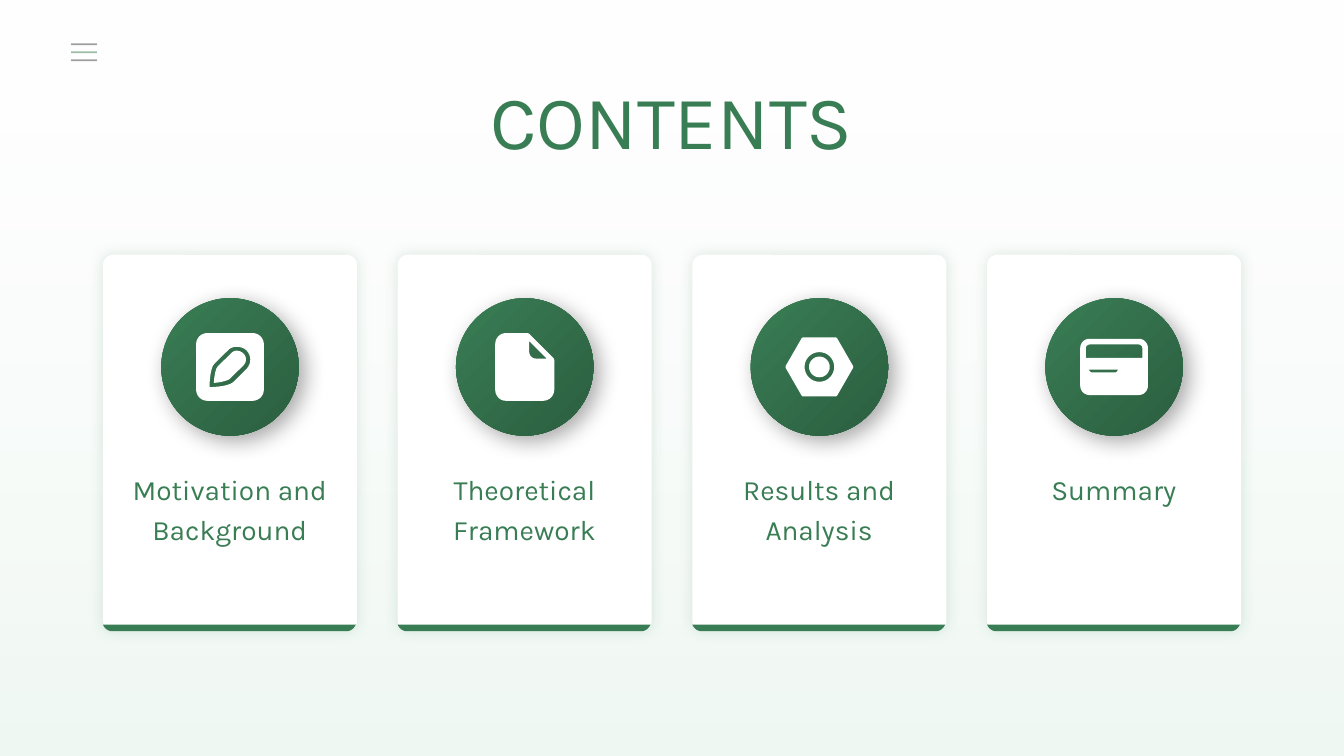
from lxml.etree import SubElement
from pptx import Presentation
from pptx.dml.color import RGBColor
from pptx.enum.shapes import MSO_CONNECTOR, MSO_SHAPE
from pptx.enum.text import PP_ALIGN
from pptx.oxml.ns import qn
from pptx.util import Pt

GREEN = RGBColor(0x39, 0x7D, 0x54)
DARK_GREEN = RGBColor(0x2B, 0x5E, 0x3F)
MINT = RGBColor(0xD2, 0xEA, 0xDC)
WHITE = RGBColor(0xFF, 0xFF, 0xFF)
GRAY = RGBColor(0x40, 0x40, 0x40)
BLACK = RGBColor(0, 0, 0)
FONT = "Karla"


def rounded(x, y, w, h, r):
    k = r * 0.45
    right, bottom = x + w, y + h
    return [(x + r, y), (right - r, y),
            (right - k, y, right, y + k, right, y + r), (right, bottom - r),
            (right, bottom - k, right - k, bottom, right - r, bottom), (x + r, bottom),
            (x + k, bottom, x, bottom - k, x, bottom - r), (x, y + r),
            (x, y + k, x + k, y, x + r, y)]


def ring(r):
    return rounded(-r, -r, 2 * r, 2 * r, r)


PEN_ICON = [
    rounded(-24.2, -24.2, 48.4, 48.4, 8),
    [(4.7, -14.4), (2.4, -14.4, 0, -13.5, -1.6, -11.7), (-11.2, -2.3),
     (-14.6, 1.2, -14.6, 14.4, -14.6, 14.4), (-14.6, 14.4, -1.7, 14.4, 2.4, 10.8),
     (11.9, 1.3), (15.4, -2.3, 15.4, -8.1, 11.9, -11.7), (9.9, -13.6, 7.4, -14.4, 4.7, -14.4)],
    [(4.7, -11.6), (6.6, -11.6, 8.4, -10.9, 9.7, -9.5), (12, -7.2, 12, -3.5, 9.7, -1.2),
     (0, 8.4), (-1.2, 9.6, -6.6, 11.1, -11.5, 11.4), (-11.3, 6.5, -10.2, 1, -8.8, -0.3),
     (0.3, -9.3), (1.7, -10.8, 3, -11.6, 4.7, -11.6)],
]
PAGE_ICON = [
    [(-13.4, -24.2), (1.5, -24.2), (2.6, -24.2, 3, -23.8, 3.4, -23.4), (20.4, -6.4),
     (20.9, -5.9, 21.1, -5.3, 21.1, -4.8), (21.1, 16.2),
     (21.1, 20.6, 17.6, 24.2, 13.1, 24.2), (-13.4, 24.2),
     (-17.8, 24.2, -21.1, 20.6, -21.1, 16.2), (-21.1, -16.2),
     (-21.1, -20.6, -17.8, -24.2, -13.4, -24.2)],
    [(3.2, -18.5), (3.2, -10.8), (3.2, -8.2, 5.3, -6, 7.9, -6), (15.6, -6)],
]
NUT_ICON = [
    [(-11.3, -21.1), (11.3, -21.1), (12, -21.1, 12.5, -20.8, 12.9, -20.1), (23.9, -1),
     (24.3, -0.4, 24.3, 0.4, 23.9, 1), (12.9, 20.1), (12.5, 20.8, 12, 21.1, 11.3, 21.1),
     (-11.3, 21.1), (-12, 21.1, -12.5, 20.8, -12.9, 20.1), (-23.9, 1),
     (-24.3, 0.4, -24.3, -0.4, -23.9, -1), (-12.9, -20.1),
     (-12.5, -20.8, -12, -21.1, -11.3, -21.1)],
    ring(10.6),
    ring(7.4),
]
PANEL_ICON = [
    rounded(-24.2, -20.1, 48.4, 40.2, 6.6),
    [(-17.4, -16), (17.4, -16), (19, -16, 20.2, -14.8, 20.2, -13.3), (20.2, -6.5),
     (-20.2, -6.5), (-20.2, -13.3), (-20.2, -14.8, -19, -16, -17.4, -16)],
    [(-18, 2), (-17.4, 3.2, -16.6, 4, -15.8, 4), (0.6, 4), (1.5, 4, 2.3, 3.2, 2.8, 2)],
]
BAR = [[(0, 0), (180.6, 0), (179.2, 2.9, 176.8, 4.7, 173.8, 4.7), (6.7, 4.7),
        (3.7, 4.7, 1.2, 2.9, 0, 0)]]

TITLE = "CONTENTS"
CARDS = [("Motivation and Background", PEN_ICON), ("Theoretical Framework", PAGE_ICON),
         ("Results and Analysis", NUT_ICON), ("Summary", PANEL_ICON)]
MENU_LINES = [(43.1, GRAY), (37.4, GREEN), (31.7, GRAY)]

CARD_LEFT, CARD_TOP, CARD_W, CARD_H, CARD_PITCH = 73.6, 182, 181.4, 268.6, 210.5
DISC = 98.2
DISC_TOP = 213
BAR_TOP = 446.2


def set_alpha(color, percent):
    SubElement(color, qn("a:alpha")).set("val", str(percent * 1000))


def paint(sp, color):
    sp.shadow.inherit = False
    sp.line.fill.background()
    sp.fill.solid()
    sp.fill.fore_color.rgb = color


def paint_gradient(sp, colors, angle, alphas=()):
    sp.shadow.inherit = False
    sp.line.fill.background()
    sp.fill.gradient()
    sp.fill.gradient_angle = angle
    for stop, color in zip(sp.fill.gradient_stops, colors):
        stop.color.rgb = color
    for color, alpha in zip(list(sp._element.spPr.iter(qn("a:srgbClr"))), alphas):
        set_alpha(color, alpha)


def add_shadow(sp, color, alpha, blur, dist, angle):
    shadow = SubElement(sp._element.spPr.find(qn("a:effectLst")), qn("a:outerShdw"))
    values = {"blurRad": Pt(blur), "dist": Pt(dist), "dir": angle * 60000,
              "algn": "ctr", "rotWithShape": 0}
    for name, value in values.items():
        shadow.set(name, str(value))
    set_alpha(SubElement(shadow, qn("a:srgbClr"), val=str(color)), alpha)


def flatten(contour, steps=8):
    points = [contour[0]]
    for part in contour[1:]:
        if len(part) == 2:
            points.append(part)
            continue
        knots = [points[-1], part[:2], part[2:4], part[4:]]
        for i in range(1, steps + 1):
            t = i / steps
            weights = ((1 - t) ** 3, 3 * t * (1 - t) ** 2, 3 * t * t * (1 - t), t ** 3)
            points.append(tuple(sum(w * k[axis] for w, k in zip(weights, knots))
                                for axis in (0, 1)))
    return points


def add_outline(s, contours, x, y, color):
    builder = None
    for contour in contours:
        points = [(Pt(x + px), Pt(y + py)) for px, py in flatten(contour)]
        if builder is None:
            builder = s.shapes.build_freeform(*points[0])
        else:
            builder.move_to(*points[0])
        builder.add_line_segments(points[1:], close=True)
    paint(builder.convert_to_shape(), color)


def add_text(s, text, x, y, w, h, size, wrap, spacing):
    tf = s.shapes.add_textbox(Pt(x), Pt(y), Pt(w), Pt(h)).text_frame
    tf.word_wrap = wrap
    p = tf.paragraphs[0]
    p.alignment = PP_ALIGN.CENTER
    p.line_spacing = spacing
    r = p.add_run()
    r.text = text
    for name, value in {"name": FONT, "size": Pt(size)}.items():
        setattr(r.font, name, value)
    r.font.color.rgb = GREEN


def add_menu(s):
    group = s.shapes.add_group_shape()
    for y, color in MENU_LINES:
        line = group.shapes.add_connector(MSO_CONNECTOR.STRAIGHT, Pt(50.8), Pt(y), Pt(69.3), Pt(y))
        line.line.width = Pt(1.25)
        line.line.color.rgb = color
        set_alpha(line._element.spPr.find(".//" + qn("a:srgbClr")), 50)
        SubElement(line._element.spPr, qn("a:effectLst"))


def add_card(s, x, label, icon):
    card = s.shapes.add_shape(MSO_SHAPE.ROUNDED_RECTANGLE, Pt(x), Pt(CARD_TOP),
                              Pt(CARD_W), Pt(CARD_H))
    card.adjustments[0] = 0.04
    paint(card, WHITE)
    add_shadow(card, GREEN, 16, 10, 0, 0)
    add_text(s, label, x + 8, 329, 165, 121.6, 20, True, 1.2)
    center = x + CARD_W / 2
    disc = s.shapes.add_shape(MSO_SHAPE.OVAL, Pt(center - DISC / 2), Pt(DISC_TOP),
                              Pt(DISC), Pt(DISC))
    paint_gradient(disc, (GREEN, DARK_GREEN), 315)
    add_shadow(disc, BLACK, 34, 16, 6, 45)
    add_outline(s, icon, center, DISC_TOP + DISC / 2, WHITE)
    add_outline(s, BAR, x, BAR_TOP, GREEN)


def main():
    prs = Presentation()
    prs.slide_width, prs.slide_height = Pt(960), Pt(540)
    s = prs.slides.add_slide(prs.slide_layouts[6])
    backdrop = s.shapes.add_shape(MSO_SHAPE.RECTANGLE, 0, 0, prs.slide_width, prs.slide_height)
    paint_gradient(backdrop, (MINT, WHITE), 90, (34, 18))
    add_text(s, TITLE, 309, 49, 341.4, 72.7, 54, False, 1.0)
    add_menu(s)
    for i, (label, icon) in enumerate(CARDS):
        add_card(s, CARD_LEFT + i * CARD_PITCH, label, icon)
    prs.save("out.pptx")


if __name__ == "__main__":
    main()
